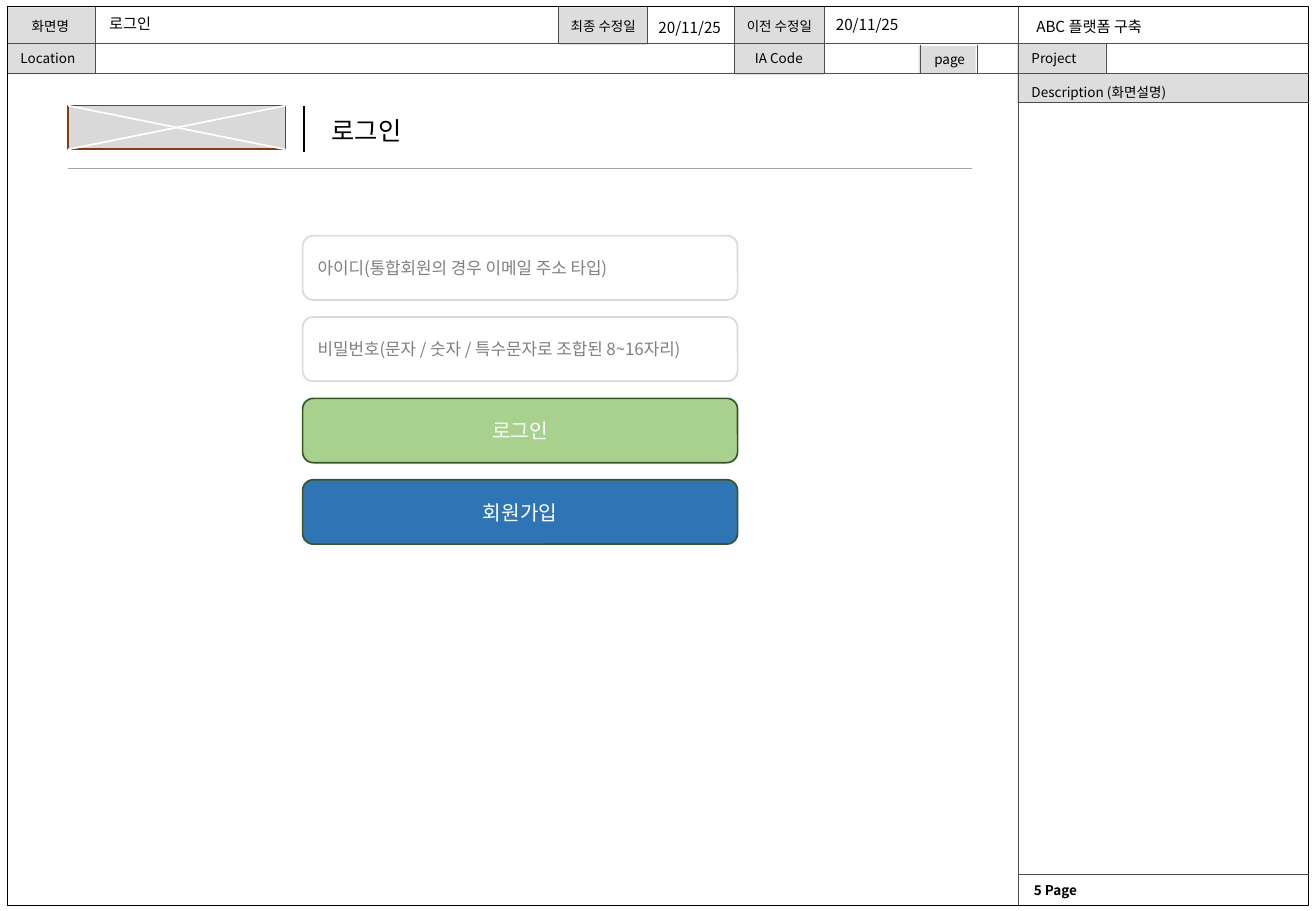
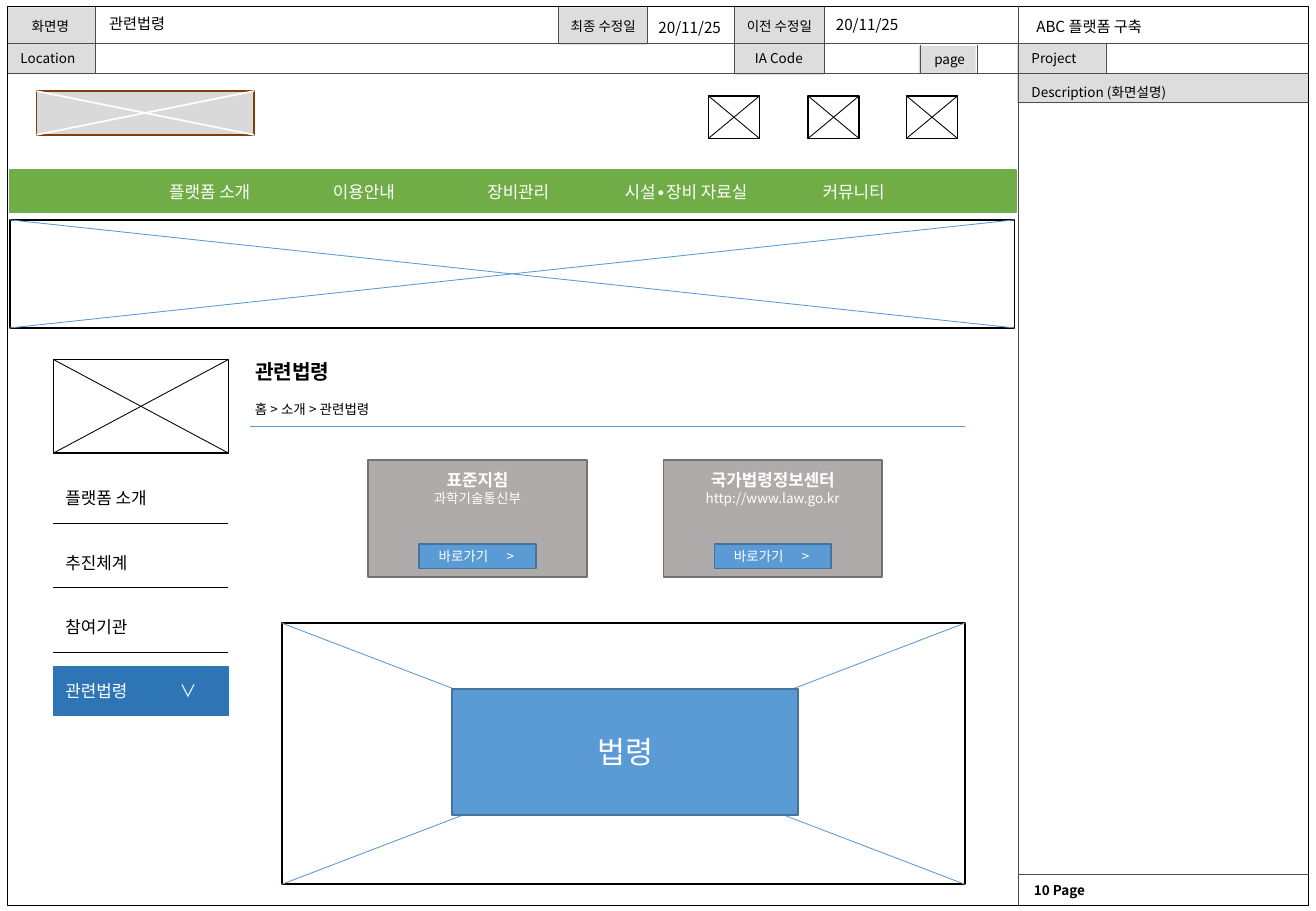
from lxml import etree
from pptx import Presentation
from pptx import util as u
from pptx.dml.color import RGBColor
from pptx.enum import shapes, text
from pptx.oxml import ns

FONT = "Noto Sans CJK KR"
COLORS = {
    "black": "000000", "white": "FFFFFF", "label": "DDDDDD", "rule": "4D4D4D",
    "logo": "D9D9D9", "brown": "843C0B", "silver": "A5A5A5", "hint": "808080",
    "lime": "A9D18E", "forest": "385723", "green": "70AD47", "navy": "2E75B6",
    "blue": "5B9BD5", "steel": "43739E", "card": "AFABAB", "card_edge": "767171",
}
RECT = shapes.MSO_SHAPE.RECTANGLE
ROUND = shapes.MSO_SHAPE.ROUNDED_RECTANGLE
LEFT, CENTER = text.PP_ALIGN.LEFT, text.PP_ALIGN.CENTER
TOP, MIDDLE = text.MSO_ANCHOR.TOP, text.MSO_ANCHOR.MIDDLE


def box(page, kind, place, lines=(), fill=None, edge=None, weight=1, size=10,
        color="black", bold=False, align=LEFT, anchor=MIDDLE, wrap=True, tab=None):
    place = [u.Inches(length) for length in place]
    if kind == "title":
        shape = page.shapes.title
        shape.left, shape.top, shape.width, shape.height = place
    elif kind == "text":
        shape = page.shapes.add_textbox(*place)
    else:
        shape = page.shapes.add_shape(kind, *place)
        shape.shadow.inherit = False
        if fill:
            shape.fill.solid()
            shape.fill.fore_color.rgb = RGBColor.from_string(COLORS[fill])
        else:
            shape.fill.background()
        if edge:
            shape.line.color.rgb = RGBColor.from_string(COLORS[edge])
            shape.line.width = u.Pt(weight)
        else:
            shape.line.fill.background()
    frame = shape.text_frame
    frame.auto_size = text.MSO_AUTO_SIZE.NONE
    frame.word_wrap = wrap
    frame.vertical_anchor = anchor
    for index, line in enumerate(lines):
        para = frame.add_paragraph() if index else frame.paragraphs[0]
        para.text = line
        para.alignment = align
        para.font.size = u.Pt(size)
        para.font.bold = bold
        para.font.name = FONT
        para.font.color.rgb = RGBColor.from_string(COLORS[color])
        props = para._p.get_or_add_pPr()
        default = props.find(ns.qn("a:defRPr"))
        etree.SubElement(default, ns.qn("a:ea"), typeface=FONT)
        if tab:
            stops = etree.Element(ns.qn("a:tabLst"))
            etree.SubElement(stops, ns.qn("a:tab"), pos=str(u.Inches(tab)), algn="l")
            default.addprevious(stops)
    return shape


def rule(page, x1, y1, x2, y2, color="rule", weight=0.25):
    ends = [u.Inches(length) for length in (x1, y1, x2, y2)]
    line = page.shapes.add_connector(shapes.MSO_CONNECTOR.STRAIGHT, *ends)
    line.line.color.rgb = RGBColor.from_string(COLORS[color])
    line.line.width = u.Pt(weight)
    etree.SubElement(line._element.spPr, ns.qn("a:effectLst"))


deck = Presentation()
deck.slide_width, deck.slide_height = u.Inches(10.83), u.Inches(7.5)
login, laws = [deck.slides.add_slide(deck.slide_layouts[5]) for _ in range(2)]

label_cells = [
    (6.05, 0.06, 0.73, 0.56), (4.6, 0.06, 0.73, 0.31), (0.06, 0.06, 0.73, 0.32),
    (0.06, 0.36, 0.73, 0.25), (8.37, 0.61, 2.4, 0.24), (8.37, 0.36, 0.73, 0.25),
    (7.56, 0.38, 0.47, 0.23),
]
frame_rules = [
    (0.07, 0.36, 10.77, 0.36), (0.07, 0.6, 10.77, 0.6), (8.39, 0.84, 10.77, 0.84),
    (8.39, 7.2, 10.77, 7.2), (8.38, 0.05, 8.38, 7.45), (9.1, 0.36, 9.1, 0.6),
    (0.78, 0.06, 0.78, 0.61), (4.59, 0.06, 4.59, 0.36), (5.33, 0.06, 5.33, 0.36),
    (6.04, 0.06, 6.04, 0.61), (6.78, 0.06, 6.78, 0.61),
    (7.57, 0.37, 7.57, 0.6), (8.04, 0.37, 8.04, 0.6),
]
labels = [
    ("화면명", (0.07, 0.1, 0.69, 0.31), CENTER),
    ("최종 수정일", (4.62, 0.1, 0.69, 0.31), CENTER),
    ("이전 수정일", (6.07, 0.1, 0.69, 0.31), CENTER),
    ("Location", (0.07, 0.36, 0.72, 0.24), LEFT),
    ("IA Code", (6.05, 0.36, 0.72, 0.24), CENTER),
    ("page", (7.57, 0.37, 0.49, 0.24), CENTER),
]
for page, name, number in [(login, "로그인", 5), (laws, "관련법령", 10)]:
    for cell in label_cells:
        box(page, RECT, cell, fill="label")
    box(page, RECT, (0.06, 0.05, 10.71, 7.4), edge="black", weight=0.25)
    for ends in frame_rules:
        rule(page, *ends)
    for label, place, align in labels:
        box(page, "text", place, [label], size=8, align=align, anchor=TOP, wrap=False)
    side = box(page, "text", (8.39, 0.36, 2.38, 0.48), ["Project", "Description (화면설명)"],
               size=8, anchor=TOP, wrap=False)
    side.text_frame.paragraphs[1].line_spacing = u.Pt(19)
    side.text_frame.paragraphs[1].space_before = u.Pt(1.6)
    box(page, "text", (8.41, 7.21, 0.64, 0.22), [f"{number} Page"], size=8, bold=True,
        anchor=TOP, wrap=False)
    values = [(name, 0.8, 0.07, 0.75), ("20/11/25", 5.32, 0.1, 0.72),
              ("20/11/25", 6.78, 0.08, 0.72), ("ABC 플랫폼 구축", 8.43, 0.09, 1.1)]
    for value, left, top, width in values:
        box(page, "text", (left, top, width, 0.25), [value], size=9, anchor=TOP, wrap=False)

box(login, "title", (2.63, 0.9, 1.65, 0.35), ["로그인"], size=15)
box(laws, "title", (2, 2.81, 2.4, 0.49), ["관련법령"], size=12, bold=True)

crossed = [
    (login, (0.56, 0.87, 1.79, 0.36), "logo", "brown", "white", 1),
    (laws, (0.3, 0.75, 1.79, 0.36), "logo", "brown", "white", 1),
    (laws, (0.08, 1.81, 8.27, 0.89), "white", "black", "blue", 0.5),
    (laws, (0.44, 2.96, 1.44, 0.77), "white", "black", "black", 0.5),
    (laws, (2.32, 5.13, 5.62, 2.15), "white", "black", "blue", 0.5),
]
for left in (5.83, 6.65, 7.46):
    crossed.append((laws, (left, 0.79, 0.42, 0.35), "white", "black", "black", 0.5))
for page, place, fill, edge, cross, weight in crossed:
    left, top, width, height = place
    box(page, RECT, place, fill=fill, edge=edge)
    rule(page, left, top, left + width, top + height, cross, weight)
    rule(page, left, top + height, left + width, top, cross, weight)

rule(login, 2.5, 0.87, 2.5, 1.25, "black", 1.5)
rule(login, 0.56, 1.39, 8, 1.39, "silver", 0.5)
fields = [
    ("아이디(통합회원의 경우 이메일 주소 타입)", "white", "logo", "hint", 10, LEFT),
    ("비밀번호(문자 / 숫자 / 특수문자로 조합된 8~16자리)", "white", "logo", "hint", 10, LEFT),
    ("로그인", "lime", "forest", "white", 12, CENTER),
    ("회원가입", "navy", "forest", "white", 12, CENTER),
]
for row, (caption, fill, edge, color, size, align) in enumerate(fields):
    box(login, ROUND, (2.49, 1.94 + 0.67 * row, 3.58, 0.53), [caption], fill, edge,
        size=size, color=color, align=align)

box(laws, RECT, (0.08, 1.4, 8.28, 0.35), fill="green", edge="green")
left = 1.19
for caption, width in [("플랫폼 소개", 1.07), ("이용안내", 1.07), ("장비관리", 1.07),
                       ("시설∙장비 자료실", 1.29), ("커뮤니티", 1.07)]:
    box(laws, RECT, (left, 1.4, width, 0.35), [caption], "green", "green",
        color="white", align=CENTER)
    left += width + 0.2

for row, caption in enumerate(["플랫폼 소개", "추진체계", "참여기관", "관련법령\t∨"]):
    top = 3.9 + 0.53 * row
    active = row == 3
    fill = "navy" if active else "white"
    box(laws, RECT, (0.44, top, 1.44, 0.4), [caption], fill, fill,
        color="white" if active else "black", tab=0.94 if active else None)
    if not active:
        rule(laws, 0.44, top + 0.41, 1.88, top + 0.41, "black", 0.5)

box(laws, "text", (2, 3.26, 2.22, 0.22), ["홈 > 소개 > 관련법령"], size=8)
rule(laws, 2.06, 3.51, 7.94, 3.51, "blue", 0.5)

for left, heading, source in [(3.03, "표준지침", "과학기술통신부"),
                              (5.46, "국가법령정보센터", "http://www.law.go.kr")]:
    card = box(laws, RECT, (left, 3.79, 1.8, 0.96), [heading, source], "card", "card_edge",
               color="white", bold=True, align=CENTER, anchor=TOP)
    card.text_frame.margin_top = u.Inches(0.08)
    source_para = card.text_frame.paragraphs[1]
    source_para.font.size = u.Pt(8)
    source_para.font.bold = False
    button = box(laws, RECT, (left + 0.42, 4.48, 0.96, 0.2), ["바로가기\t>"], "blue", "steel",
                 size=8, color="white", tab=0.56)
    button.text_frame.margin_left = u.Inches(0.16)

box(laws, RECT, (3.72, 5.67, 2.85, 1.04), ["법령"], "blue", "steel",
    size=18, color="white", align=CENTER)

deck.save("out.pptx")
